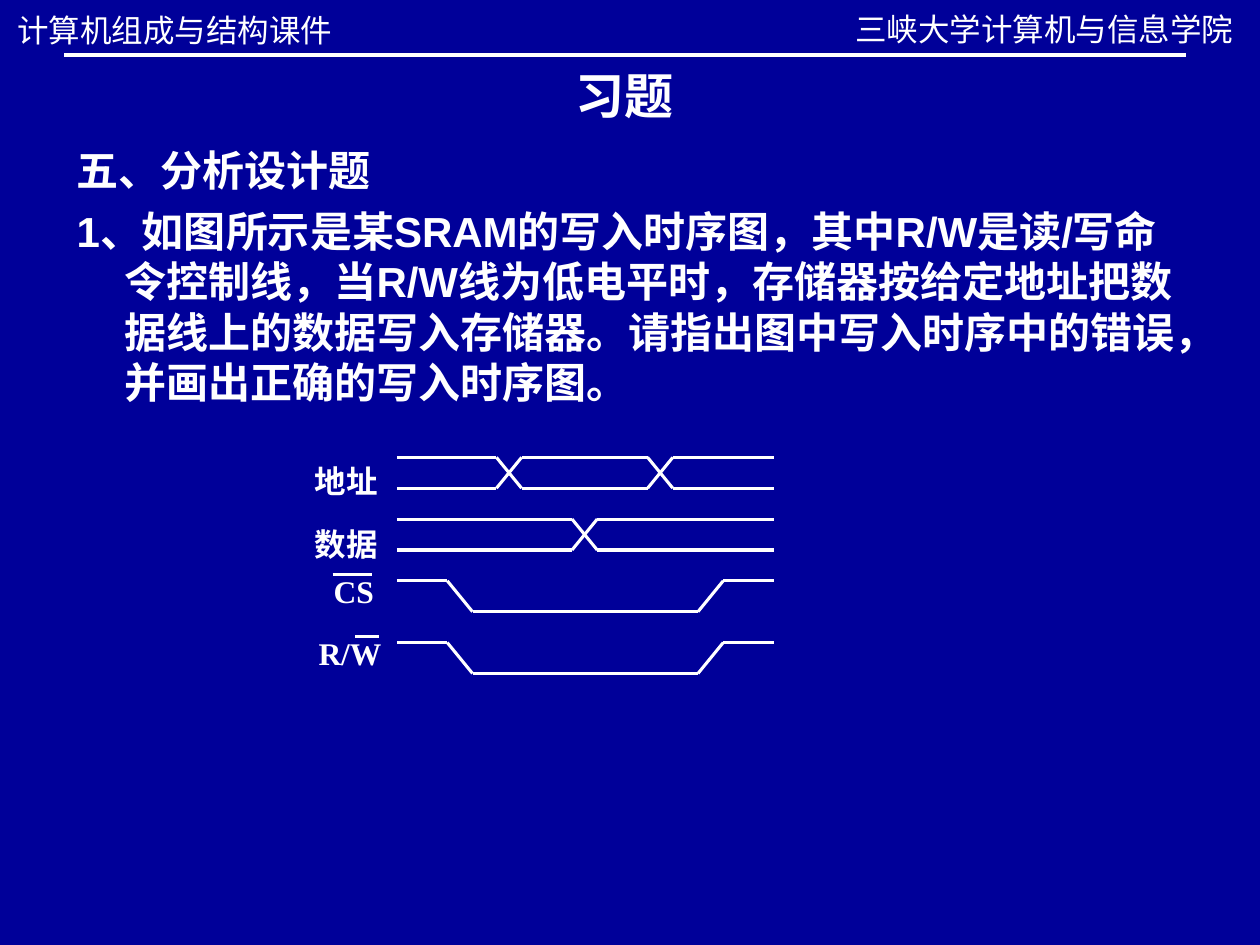
from dataclasses import dataclass

from lxml import etree
from pptx import Presentation
from pptx.dml.color import RGBColor
from pptx.enum.shapes import MSO_CONNECTOR
from pptx.enum.text import PP_ALIGN
from pptx.oxml.ns import qn
from pptx.slide import Slide
from pptx.util import Inches, Pt

STRAIGHT = MSO_CONNECTOR.STRAIGHT
LEFT, CENTER = PP_ALIGN.LEFT, PP_ALIGN.CENTER
COLORS = {"background": "000099", "foreground": "FFFFFF"}
CHINESE_FONT = "Noto Sans CJK SC"
SIGNAL_LEFT, SIGNAL_RIGHT = 3.15, 6.14
SIGNAL_TOP, SIGNAL_PITCH = 3.63, 0.49
SWING, EDGE = 0.245, 0.2


@dataclass
class Bus:
    label: str
    label_left: float
    label_top: float
    crossings: list[float]


@dataclass
class Strobe:
    label: str
    label_left: float
    label_top: float
    fall: float
    rise: float
    bar_left: float
    bar_right: float


BUSES = [
    Bus("地址", 2.4, 3.59, [3.94, 5.14]),
    Bus("数据", 2.4, 4.09, [4.54]),
]
STROBES = [
    Strobe("CS", 2.55, 4.49, 3.55, 5.54, 2.64, 2.95),
    Strobe("R/W", 2.43, 4.98, 3.55, 5.54, 2.82, 3.01),
]
QUESTION = (
    "1、如图所示是某SRAM的写入时序图，其中R/W是读/写命令控制线，"
    "当R/W线为低电平时，存储器按给定地址把数据线上的数据写入存储器。"
    "请指出图中写入时序中的错误，并画出正确的写入时序图。"
)


def add_text(slide: Slide, text: str, left: float, top: float, width: float, height: float, *,
             size: float, font: str = "Arial", bold: bool = True, align: PP_ALIGN = LEFT,
             hanging: float = 0, chinese: bool = True) -> None:
    shape = slide.shapes.add_textbox(Inches(left), Inches(top), Inches(width), Inches(height))
    frame = shape.text_frame
    frame.word_wrap = True
    paragraph = frame.paragraphs[0]
    paragraph.alignment = align
    if chinese:
        frame.margin_top = Inches(0.08)
        paragraph.line_spacing = Pt(size * 1.2)
    if hanging:
        properties = paragraph._p.get_or_add_pPr()
        properties.set("marL", str(Inches(hanging)))
        properties.set("indent", str(-Inches(hanging)))
    run = paragraph.add_run()
    run.text = text
    run.font.size = Pt(size)
    run.font.bold = bold
    run.font.name = font
    run.font.color.rgb = RGBColor.from_string(COLORS["foreground"])
    east_asian = etree.SubElement(run._r.get_or_add_rPr(), qn("a:ea"))
    east_asian.set("typeface", CHINESE_FONT)


def add_line(slide: Slide, x1: float, y1: float, x2: float, y2: float, weight: float = 1.75) -> None:
    line = slide.shapes.add_connector(STRAIGHT, Inches(x1), Inches(y1), Inches(x2), Inches(y2))
    line.line.color.rgb = RGBColor.from_string(COLORS["foreground"])
    line.line.width = Pt(weight)
    etree.SubElement(line._element.spPr, qn("a:effectLst"))


def add_label(slide: Slide, signal: Bus | Strobe, chinese: bool) -> None:
    add_text(slide, signal.label, signal.label_left, signal.label_top, 1, 0.37,
             size=18, font="Times New Roman", chinese=chinese)


def draw_bus(slide: Slide, bus: Bus, high: float) -> None:
    low = high + SWING
    starts = [SIGNAL_LEFT] + [crossing + EDGE for crossing in bus.crossings]
    ends = bus.crossings + [SIGNAL_RIGHT]
    for start, end in zip(starts, ends):
        for level in (high, low):
            add_line(slide, start, level, end, level)
    for crossing in bus.crossings:
        add_line(slide, crossing, high, crossing + EDGE, low)
        add_line(slide, crossing + EDGE, high, crossing, low)
    add_label(slide, bus, chinese=True)


def draw_strobe(slide: Slide, strobe: Strobe, high: float) -> None:
    low = high + SWING
    points = [
        (SIGNAL_LEFT, high), (strobe.fall, high), (strobe.fall + EDGE, low),
        (strobe.rise, low), (strobe.rise + EDGE, high), (SIGNAL_RIGHT, high),
    ]
    for start, end in zip(points, points[1:]):
        add_line(slide, *start, *end)
    add_label(slide, strobe, chinese=False)
    bar_top = strobe.label_top + 0.07
    add_line(slide, strobe.bar_left, bar_top, strobe.bar_right, bar_top)


def main() -> None:
    """Build the SRAM write timing exercise slide."""
    presentation = Presentation()
    presentation.slide_width, presentation.slide_height = Inches(10), Inches(7.5)
    slide = presentation.slides.add_slide(presentation.slide_layouts[6])
    fill = slide.background.fill
    fill.solid()
    fill.fore_color.rgb = RGBColor.from_string(COLORS["background"])

    add_line(slide, 0.51, 0.44, 9.41, 0.44, weight=2.25)
    add_text(slide, "计算机组成与结构课件", 0.04, 0.01, 2.87, 0.4, size=18, bold=False)
    add_text(slide, "三峡大学计算机与信息学院", 6.69, 0, 3.31, 0.4, size=18, bold=False)
    add_text(slide, "习题", 0.51, 0.44, 8.9, 0.57, size=28, font=CHINESE_FONT, align=CENTER)
    add_text(slide, "五、分析设计题", 0.51, 1.07, 8.9, 0.5, size=24, font=CHINESE_FONT)
    add_text(slide, QUESTION, 0.51, 1.55, 8.98, 1.7, size=24, hanging=0.38)

    for row, signal in enumerate(BUSES + STROBES):
        draw = draw_bus if isinstance(signal, Bus) else draw_strobe
        draw(slide, signal, SIGNAL_TOP + row * SIGNAL_PITCH)

    presentation.save("out.pptx")


if __name__ == "__main__":
    main()
